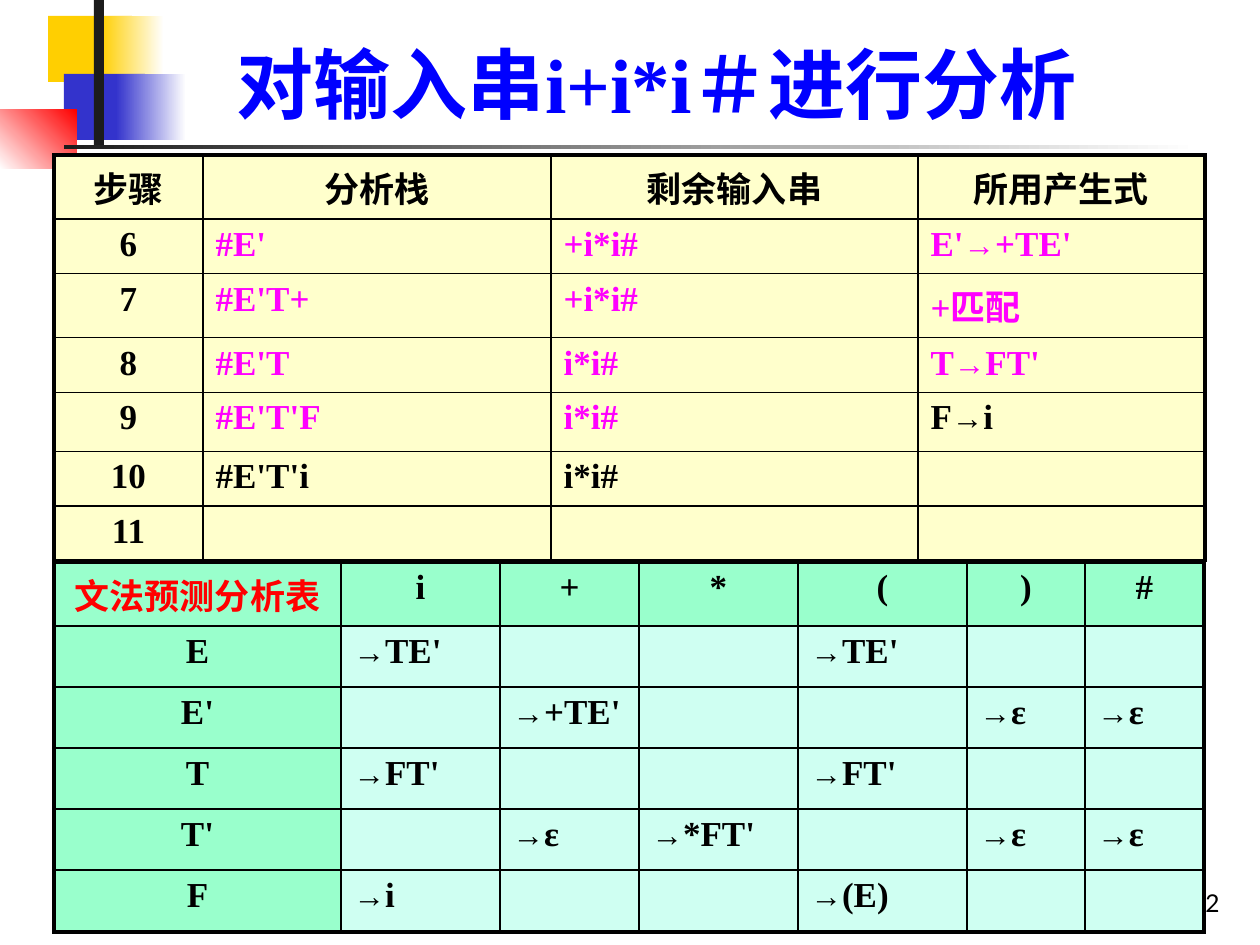
from lxml.etree import SubElement
from pptx import Presentation
from pptx.dml.color import RGBColor
from pptx.enum.shapes import MSO_SHAPE
from pptx.enum.text import MSO_ANCHOR, PP_ALIGN
from pptx.oxml.ns import qn
from pptx.util import Pt

PX = 914400 / 126
BLACK = RGBColor(0, 0, 0)
WHITE = RGBColor(0xFF, 0xFF, 0xFF)
RED = RGBColor(0xFF, 0, 0)
BLUE = RGBColor(0, 0, 0xFF)
MAGENTA = RGBColor(0xFF, 0, 0xFF)
GOLD = RGBColor(0xFF, 0xCF, 0x01)
INDIGO = RGBColor(0x33, 0x33, 0xCC)
CHARCOAL = RGBColor(0x1C, 0x1C, 0x1C)
CREAM = RGBColor(0xFF, 0xFF, 0xCC)
MINT = RGBColor(0x99, 0xFF, 0xCC)
PALE = RGBColor(0xCF, 0xFF, 0xF2)


def emu(*lengths):
    return [round(n * PX) for n in lengths]


def write(tf, text, size=20, color=BLACK, bold=True, font="Times New Roman",
          align=PP_ALIGN.LEFT, arrow_size=18):
    p = tf.paragraphs[0]
    p.alignment = align
    for part in text.partition("→"):
        if part:
            r = p.add_run()
            r.text = part
            r.font.name = font
            r.font.size = Pt(arrow_size if part == "→" else size)
            r.font.bold = bold
            r.font.color.rgb = color


prs = Presentation()
prs.slide_width, prs.slide_height = emu(1260, 945)
s = prs.slides.add_slide(prs.slide_layouts[5])

DECOR = [
    ((48, 16, 84, 66), GOLD, None, 0),
    ((101, 16, 63, 66), GOLD, WHITE, 0),
    ((64, 74, 81, 66), INDIGO, None, 0),
    ((116, 74, 70, 66), INDIGO, WHITE, 0),
    ((0, 110, 77, 59), WHITE, RED, 45),
    ((94, 0, 10, 145), CHARCOAL, None, 0),
    ((64, 145, 1134, 4), CHARCOAL, WHITE, 0),
]
for box, start, end, angle in DECOR:
    sp = s.shapes.add_shape(MSO_SHAPE.RECTANGLE, *emu(*box))
    sp.shadow.inherit = False
    sp.line.fill.background()
    if end is None:
        sp.fill.solid()
        sp.fill.fore_color.rgb = start
    else:
        sp.fill.gradient()
        sp.fill.gradient_angle = angle
        for stop, color in zip(sp.fill.gradient_stops, (start, end)):
            stop.color.rgb = color

title = s.shapes.title
title.left, title.top, title.width, title.height = emu(159, 29, 1155, 106)
title.width = emu(996)[0]
title.text_frame.vertical_anchor = MSO_ANCHOR.BOTTOM
write(title.text_frame, "对输入串i+i*i＃进行分析", size=44, color=BLUE,
      align=PP_ALIGN.CENTER)

number = s.shapes.add_textbox(*emu(970, 861, 262, 63))
number.text_frame.word_wrap = True
number.text_frame.vertical_anchor = MSO_ANCHOR.BOTTOM
write(number.text_frame, "52", size=14, bold=False, font="Lato",
      align=PP_ALIGN.RIGHT)

PREDICT = [
    ["文法预测分析表", "i", "+", "*", "(", ")", "#"],
    ["E", "→TE'", "", "", "→TE'", "", ""],
    ["E'", "", "→+TE'", "", "", "→ε", "→ε"],
    ["T", "→FT'", "", "", "→FT'", "", ""],
    ["T'", "", "→ε", "→*FT'", "", "→ε", "→ε"],
    ["F", "→i", "", "", "→(E)", "", ""],
]
STEPS = [
    ["步骤", "分析栈", "剩余输入串", "所用产生式"],
    ["6", "#E'", "+i*i#", "E'→+TE'"],
    ["7", "#E'T+", "+i*i#", "+匹配"],
    ["8", "#E'T", "i*i#", "T→FT'"],
    ["9", "#E'T'F", "i*i#", "F→i"],
    ["10", "#E'T'i", "i*i#", ""],
    ["11", "", "", ""],
]
predict_colors = {(0, 0): RED}
step_colors = {(i, j): MAGENTA for i in range(1, 5) for j in range(1, 4)
               if (i, j) != (4, 3)}
TABLES = [
    (PREDICT, 562, [287, 159, 139, 159, 169, 118, 119],
     [64, 61, 61, 61, 61, 62], MINT, PALE, predict_colors),
    (STEPS, 155, [149, 348, 367, 287],
     [64, 51, 64, 52, 59, 52, 52], CREAM, CREAM, step_colors),
]
for rows, top, widths, heights, head_fill, body_fill, colors in TABLES:
    frame = s.shapes.add_table(len(rows), len(widths),
                               *emu(54, top, sum(widths), sum(heights)))
    table = frame.table
    table.first_row = False
    table.horz_banding = False
    for col, width in zip(table.columns, emu(*widths)):
        col.width = width
    for row, height in zip(table.rows, emu(*heights)):
        row.height = height
    for i, row in enumerate(rows):
        for j, text in enumerate(row):
            cell = table.cell(i, j)
            head = i == 0 or j == 0
            write(cell.text_frame, text, color=colors.get((i, j), BLACK),
                  align=PP_ALIGN.CENTER if head else PP_ALIGN.LEFT)
            outer = {"L": j == 0, "R": j == len(row) - 1,
                     "T": i == 0, "B": i == len(rows) - 1}
            tcPr = cell._tc.get_or_add_tcPr()
            for side, on_edge in outer.items():
                ln = SubElement(tcPr, qn(f"a:ln{side}"),
                                w=str(Pt(2.25 if on_edge else 1)))
                fill = SubElement(ln, qn("a:solidFill"))
                SubElement(fill, qn("a:srgbClr"), val=str(BLACK))
            cell.fill.solid()
            cell.fill.fore_color.rgb = head_fill if head else body_fill

prs.save("out.pptx")
